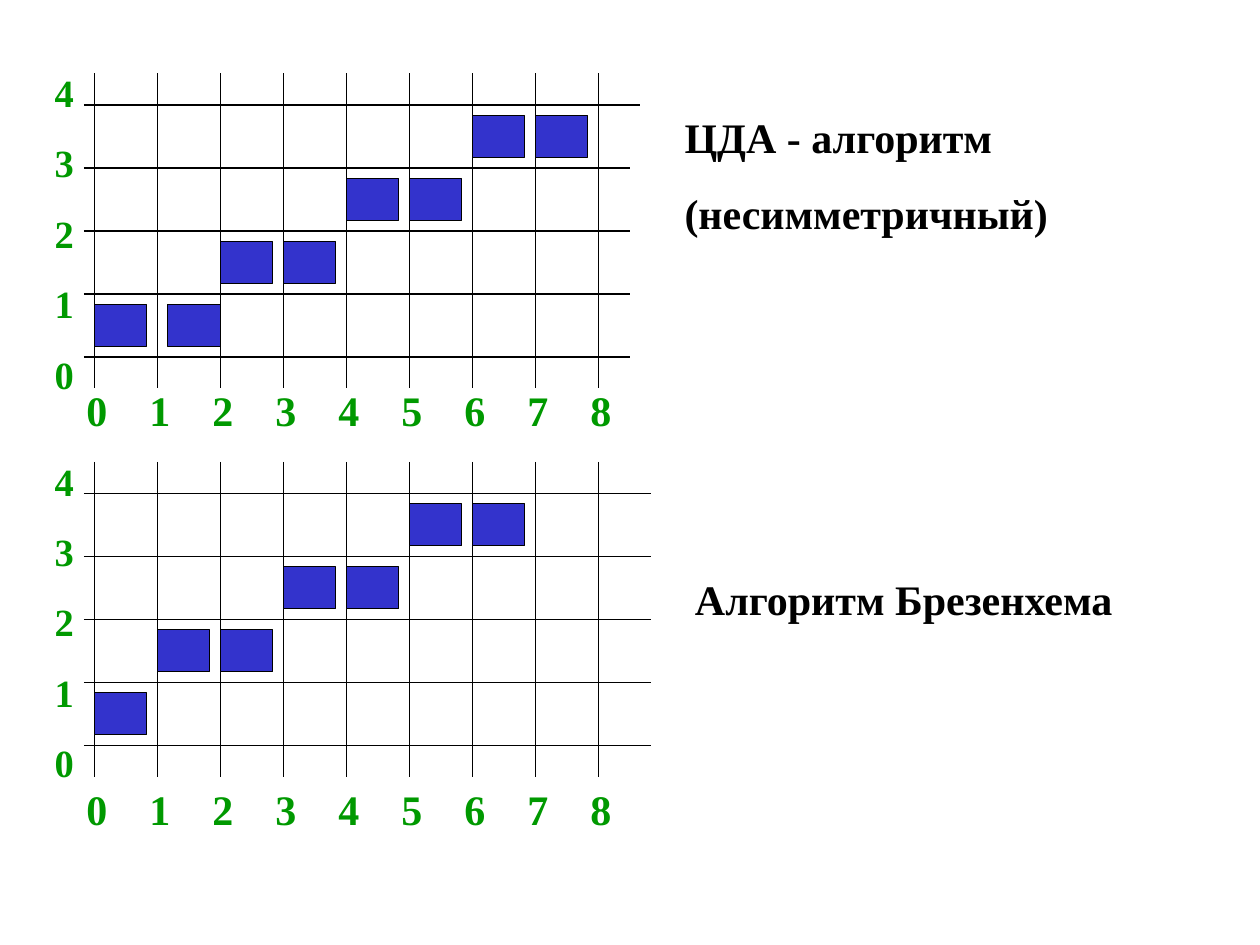
from lxml import etree
from pptx import Presentation
from pptx.dml.color import RGBColor
from pptx.enum.shapes import MSO_CONNECTOR, MSO_SHAPE
from pptx.enum.text import MSO_AUTO_SIZE
from pptx.oxml.ns import qn
from pptx.util import Cm, Pt

STRAIGHT = MSO_CONNECTOR.STRAIGHT
RECTANGLE = MSO_SHAPE.RECTANGLE
FIT_SHAPE = MSO_AUTO_SIZE.SHAPE_TO_FIT_TEXT
color = RGBColor.from_string

CELL = 1.27
GRID_LEFT = 1.9
GAP = 0.21
COLUMNS, ROWS = 8, 4
GREEN, BLACK, BLUE = "009900", "000000", "3333CC"

presentation = Presentation()
presentation.slide_width = Cm(25.4)
presentation.slide_height = Cm(19.05)
slide = presentation.slides.add_slide(presentation.slide_layouts[6])


def add_line(x1, y1, x2, y2):
    line = slide.shapes.add_connector(STRAIGHT, Cm(x1), Cm(y1), Cm(x2), Cm(y2))
    line.line.color.rgb = color(BLACK)
    line.line.width = Pt(0.75)
    etree.SubElement(line._element.spPr, qn("a:effectLst"))


def add_text(left, top, width, height, lines, size, space_before, text_color):
    box = slide.shapes.add_textbox(Cm(left), Cm(top), Cm(width), Cm(height))
    frame = box.text_frame
    frame.word_wrap = True
    frame.auto_size = FIT_SHAPE
    frame.text = "\n".join(lines)
    font_values = {"name": "Times New Roman", "size": Pt(size), "bold": True}
    for paragraph in frame.paragraphs:
        paragraph.space_before = Pt(space_before)
        font = paragraph.runs[0].font
        for name, value in font_values.items():
            setattr(font, name, value)
        font.color.rgb = color(text_color)
    return frame


# Both grids: top, right ends of the rows, filled pixels (column, row), axis label top
top_ends = [12.9] + [12.7] * ROWS
bottom_ends = [13.13] * (ROWS + 1)
grids = [
    (1.48, top_ends, [(column, column // 2) for column in range(8)], 7.62),
    (9.31, bottom_ends, [(column, (column + 1) // 2) for column in range(7)], 15.66),
]

for grid_index, (top, row_ends, pixels, axis_top) in enumerate(grids):
    first_row = top + CELL / 2

    # Grid lines
    for row, right in enumerate(row_ends):
        y = first_row + row * CELL
        add_line(GRID_LEFT - GAP, y, right, y)
    for column in range(COLUMNS + 1):
        x = GRID_LEFT + column * CELL
        add_line(x, top, x, top + 5 * CELL)

    # Filled pixels
    for column, row in pixels:
        x = GRID_LEFT + column * CELL
        if grid_index == 0 and column == 1:
            x += GAP  # this pixel touches the right side of its cell
        y = first_row + (ROWS - 1 - row) * CELL + GAP
        pixel = slide.shapes.add_shape(
            RECTANGLE, Cm(x), Cm(y), Cm(CELL - GAP), Cm(CELL - 2 * GAP))
        pixel.shadow.inherit = False
        pixel.fill.solid()
        pixel.fill.fore_color.rgb = color(BLUE)
        pixel.line.color.rgb = color(BLACK)
        pixel.line.width = Pt(0.75)

    # Horizontal axis numbers, one tab stop per cell
    numbers = "\t".join(str(number) for number in range(COLUMNS + 1))
    frame = add_text(0.85, axis_top, 13.12, 1.27, [numbers], 24, 15, GREEN)
    frame.margin_left = Cm(0.89)
    properties = frame.paragraphs[0]._p.get_or_add_pPr()
    tab_list = etree.SubElement(properties, qn("a:tabLst"))
    for stop in range(1, COLUMNS + 1):
        etree.SubElement(tab_list, qn("a:tab"), pos=str(Cm(stop * CELL)), algn="l")

    # Vertical axis numbers
    numbers = [str(number) for number in range(ROWS, -1, -1)]
    add_text(0.85, top - GAP, 1.9, 6.86, numbers, 22, 13.8, GREEN)

# Algorithm names
add_text(13.55, 2.12, 9.95, 2.82,
         ["ЦДА - алгоритм", "(несимметричный)"], 24, 15, BLACK)
add_text(13.76, 11.43, 9.53, 1.27, ["Алгоритм Брезенхема"], 24, 15, BLACK)

presentation.save("out.pptx")
